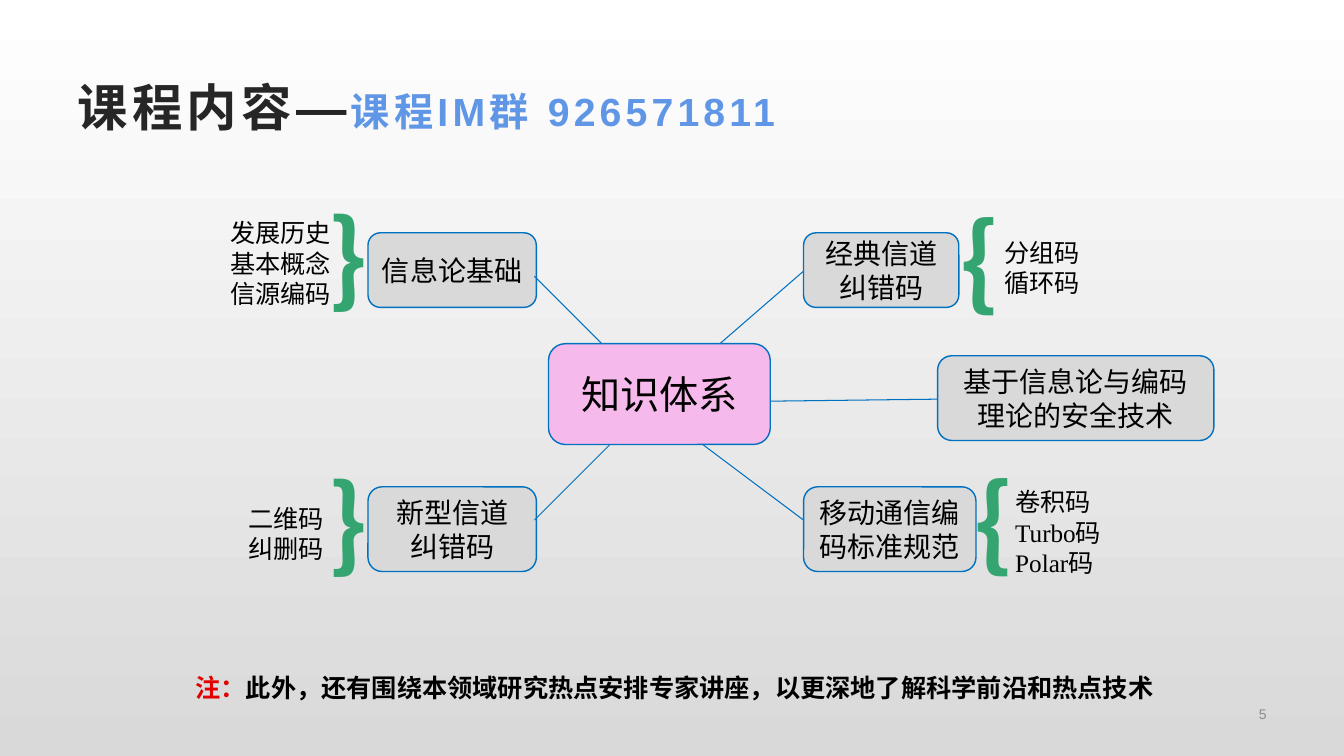
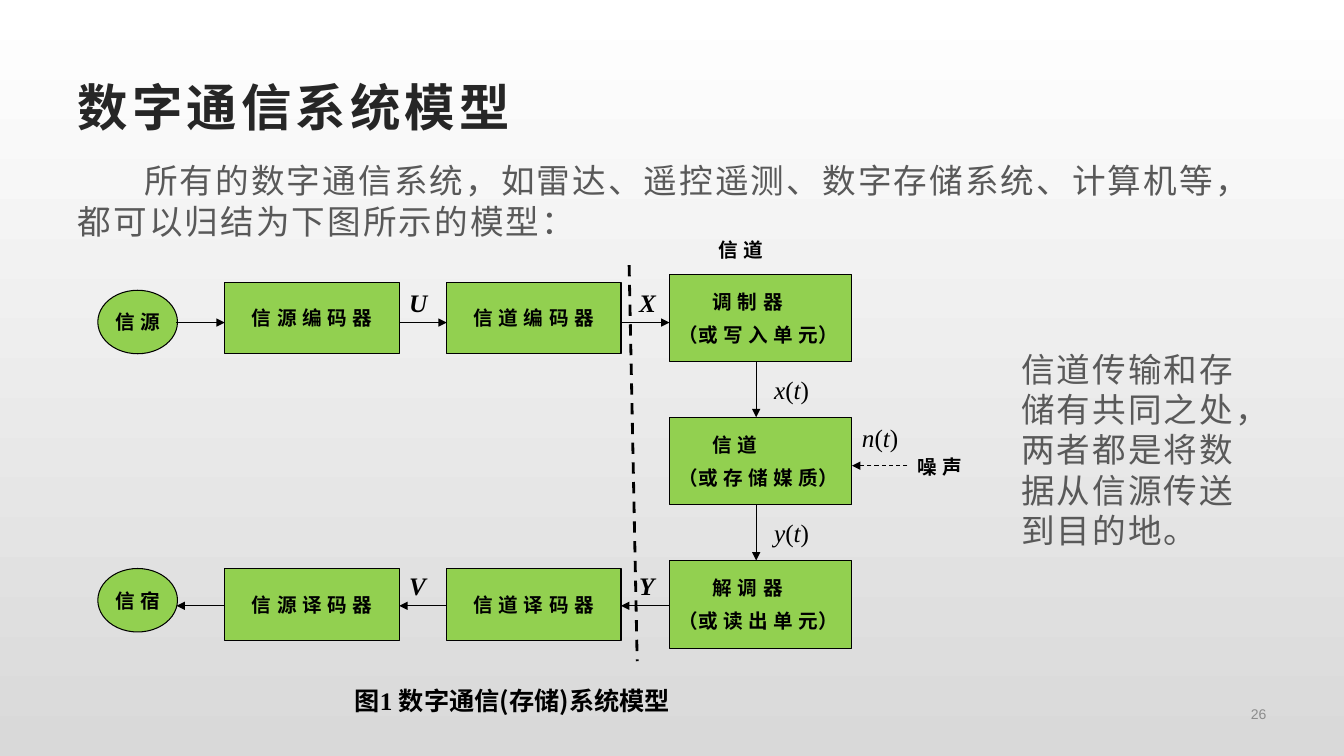
from dataclasses import dataclass, field
from typing import Any, NamedTuple

import lxml.etree
import pptx
import pptx.dml.color
import pptx.enum.dml
import pptx.enum.lang
import pptx.enum.shapes
import pptx.enum.text
import pptx.oxml.ns
import pptx.util

Inches = pptx.util.Inches
Pt = pptx.util.Pt
qn = pptx.oxml.ns.qn
Align = pptx.enum.text.PP_ALIGN
Anchor = pptx.enum.text.MSO_ANCHOR
Preset = pptx.enum.shapes.MSO_SHAPE


@dataclass(frozen=True)
class Theme:
    sans: str = "Arial"
    serif: str = "Times New Roman"
    cjk: str = "Noto Sans CJK SC"
    black: str = "000000"
    title_ink: str = "262626"
    body_ink: str = "595959"
    page_ink: str = "8C8C8C"
    accent: str = "6096E6"
    blue: str = "0070C0"
    pink: str = "F6B9EB"
    gray: str = "D9D9D9"
    white: str = "FFFFFF"
    brace: str = "34A471"
    lime: str = "92D050"
    red: str = "E30000"
    title_size: int = 36
    subtitle_size: int = 28
    body_size: int = 24
    topic_size: int = 20
    note_size: int = 18
    block_size: int = 14
    page_size: int = 10
    brace_size: int = 72


THEME = Theme()


class Box(NamedTuple):
    left: float
    top: float
    width: float
    height: float


@dataclass(frozen=True)
class Span:
    text: str
    size: float = THEME.note_size
    color: str = THEME.black
    face: str = THEME.sans
    bold: bool = False
    italic: bool = False
    spacing: float = 0


@dataclass(frozen=True)
class Para:
    spans: list[Span]
    align: Any = Align.LEFT
    before: float = 0
    indent: float = 0


class Topic(NamedTuple):
    text: str
    box: Box


class Details(NamedTuple):
    lines: list[str]
    box: Box
    align: Any
    brace: Box
    turn: int


@dataclass(frozen=True)
class Link:
    start: tuple[float, float]
    end: tuple[float, float]
    color: str = THEME.black
    width: float = 0.75
    dashed: bool = False
    arrow: bool = True


@dataclass(frozen=True)
class Look:
    fill: str
    line: str
    width: float
    preset: Any = Preset.RECTANGLE
    margins: dict[str, Any] = field(default_factory=dict)


def rgb(color: str) -> pptx.dml.color.RGBColor:
    return pptx.dml.color.RGBColor.from_string(color)


def assign(target: Any, values: dict[str, Any]) -> None:
    for name, value in values.items():
        setattr(target, name, value)


def place(shape: Any, box: Box) -> None:
    assign(shape, {name: Inches(value) for name, value in box._asdict().items()})


def write(frame: Any, paras: list[Para], anchor: Any = Anchor.TOP) -> None:
    assign(frame, {"word_wrap": True, "vertical_anchor": anchor,
                   "auto_size": pptx.enum.text.MSO_AUTO_SIZE.NONE})
    for index, para in enumerate(paras):
        paragraph = frame.paragraphs[0] if index == 0 else frame.add_paragraph()
        properties = paragraph._p.get_or_add_pPr()
        properties.set("marL", "0")
        properties.set("indent", str(Inches(para.indent)))
        lxml.etree.SubElement(properties, qn("a:buNone"))
        assign(paragraph, {"alignment": para.align, "space_before": Pt(para.before)})
        for span in para.spans:
            run = paragraph.add_run()
            run.text = span.text
            assign(run.font, {
                "size": Pt(span.size), "bold": span.bold, "italic": span.italic,
                "name": span.face,
                "language_id": pptx.enum.lang.MSO_LANGUAGE_ID.SIMPLIFIED_CHINESE,
            })
            run.font.color.rgb = rgb(span.color)
            run_properties = run._r.get_or_add_rPr()
            east_asian = THEME.cjk if span.face == THEME.cjk else THEME.sans
            lxml.etree.SubElement(run_properties, qn("a:ea"), typeface=east_asian)
            if span.spacing:
                run_properties.set("spc", str(round(span.spacing * 100)))


def add_text(page: Any, box: Box, paras: list[Para], anchor: Any = Anchor.TOP,
             turn: int = 0) -> None:
    shape = page.shapes.add_textbox(*map(Inches, box))
    shape.rotation = turn
    write(shape.text_frame, paras, anchor)


def add_block(page: Any, box: Box, look: Look, paras: list[Para]) -> None:
    shape = page.shapes.add_shape(look.preset, *map(Inches, box))
    shape.shadow.inherit = False
    shape.fill.solid()
    shape.fill.fore_color.rgb = rgb(look.fill)
    shape.line.color.rgb = rgb(look.line)
    shape.line.width = Pt(look.width)
    assign(shape.text_frame, look.margins)
    write(shape.text_frame, paras, Anchor.MIDDLE)


def add_link(page: Any, link: Link) -> None:
    connector = page.shapes.add_connector(
        pptx.enum.shapes.MSO_CONNECTOR.STRAIGHT,
        *map(Inches, (*link.start, *link.end)))
    connector.line.color.rgb = rgb(link.color)
    connector.line.width = Pt(link.width)
    if link.dashed:
        connector.line.dash_style = pptx.enum.dml.MSO_LINE.DASH
    properties = connector._element.spPr
    if link.arrow:
        lxml.etree.SubElement(properties.find(qn("a:ln")), qn("a:tailEnd"), type="triangle")
    lxml.etree.SubElement(properties, qn("a:effectLst"))


def set_background(deck: Any) -> None:
    fill = deck.slide_master.background.fill
    fill.gradient()
    fill.gradient_angle = 270
    for stop, position, color in zip(fill.gradient_stops, (0, 1), (THEME.white, THEME.gray)):
        stop.position = position
        stop.color.rgb = rgb(color)


def title_span(text: str, size: int = THEME.title_size, color: str = THEME.title_ink) -> Span:
    return Span(text, size, color, bold=True, spacing=3)


def body_span(text: str) -> Span:
    return Span(text, THEME.body_size, THEME.body_ink, spacing=1.5)


def block_span(text: str) -> Span:
    return Span(text, THEME.block_size, bold=True)


def add_page(deck: Any, layout: int, title: list[Span], number: int) -> Any:
    page = deck.slides.add_slide(deck.slide_layouts[layout])
    place(page.shapes.title, Box(0.67, 0.67, 12, 0.77))
    write(page.shapes.title.text_frame, [Para(title)], Anchor.MIDDLE)
    page_number = Span(str(number), THEME.page_size, THEME.page_ink)
    add_text(page, Box(9.71, 6.91, 2.95, 0.35), [Para([page_number], Align.RIGHT)],
             Anchor.MIDDLE)
    return page


def build_contents(deck: Any) -> None:
    page = add_page(deck, 5, [
        title_span("课程内容—"),
        title_span("课程IM群 926571811", THEME.subtitle_size, THEME.accent),
    ], 5)
    hub_look = Look(THEME.pink, THEME.blue, 1, Preset.ROUNDED_RECTANGLE)
    topic_look = Look(THEME.gray, THEME.blue, 1, Preset.ROUNDED_RECTANGLE)
    add_block(page, Box(5.44, 3.41, 2.2, 1), hub_look,
              [Para([Span("知识体系", THEME.subtitle_size)], Align.CENTER)])
    topics = [
        Topic("信息论基础", Box(3.65, 2.31, 1.67, 0.74)),
        Topic("经典信道纠错码", Box(7.97, 2.31, 1.54, 0.74)),
        Topic("新型信道纠错码", Box(3.65, 4.83, 1.67, 0.84)),
        Topic("移动通信编码标准规范", Box(7.97, 4.83, 1.71, 0.84)),
        Topic("基于信息论与编码理论的安全技术", Box(9.3, 3.53, 2.74, 0.84)),
    ]
    for topic in topics:
        add_block(page, topic.box, topic_look,
                  [Para([Span(topic.text, THEME.topic_size)], Align.CENTER)])
    spokes = [
        ((5.3, 2.74), (5.97, 3.41)),
        ((7.97, 2.69), (7.14, 3.41)),
        ((5.3, 5.16), (6.05, 4.41)),
        ((7.97, 5.16), (6.97, 4.41)),
        ((9.3, 3.96), (7.64, 3.98)),
    ]
    for start, end in spokes:
        add_link(page, Link(start, end, THEME.blue, arrow=False))
    details = [
        Details(["分组码", "循环码"], Box(9.86, 2.3, 1.52, 0.71), Align.LEFT,
                Box(9.43, 1.91, 0.73, 1.31), 0),
        Details(["卷积码", "Turbo码", "Polar码"], Box(9.97, 4.78, 1.52, 1.01), Align.LEFT,
                Box(9.57, 4.5, 0.73, 1.31), 0),
        Details(["发展历史", "基本概念", "信源编码"], Box(1.97, 2.11, 1.41, 1.01), Align.RIGHT,
                Box(3.01, 2.04, 0.73, 1.31), 180),
        Details(["二维码", "纠删码"], Box(1.9, 4.94, 1.41, 0.71), Align.RIGHT,
                Box(3.01, 4.66, 0.73, 1.31), 180),
    ]
    brace = Span("{", THEME.brace_size, THEME.brace, THEME.cjk, bold=True)
    for detail in details:
        add_text(page, detail.box, [Para([Span(line, face=THEME.serif)], detail.align)
                                    for line in detail.lines])
        add_text(page, detail.brace, [Para([brace])], turn=detail.turn)
    add_text(page, Box(1.84, 6.62, 9.76, 0.4), [Para([
        Span("注：", color=THEME.red, face=THEME.serif, bold=True),
        Span("此外，还有围绕本领域研究热点安排专家讲座，以更深地了解科学前沿和热点技术",
             face=THEME.serif, bold=True),
    ])])


def build_model(deck: Any) -> None:
    page = add_page(deck, 1, [title_span("数字通信系统模型")], 26)
    intro = page.placeholders[1]
    place(intro, Box(0.67, 1.54, 12.13, 0.91))
    write(intro.text_frame, [Para([body_span(
        "所有的数字通信系统，如雷达、遥控遥测、数字存储系统、计算机等，"
        "都可以归结为下图所示的模型：")], indent=0.66)])
    add_text(page, Box(10.03, 3.41, 2.4, 2.12), [Para([body_span(
        "信道传输和存储有共同之处，两者都是将数据从信源传送到目的地。")])])

    add_link(page, Link((6.24, 2.63), (6.32, 6.56), width=2, dashed=True, arrow=False))
    flush = {"margin_left": 0, "margin_right": 0}
    coder_look = Look(THEME.lime, THEME.black, 0.75)
    end_look = Look(THEME.lime, THEME.black, 0.75, Preset.OVAL, flush)
    unit_look = Look(THEME.lime, THEME.black, 0.75,
                     margins={"margin_left": Inches(0.09), "margin_right": 0})
    rows = [
        ("信 源", 2.88, ["信 源 编 码 器", "信 道 编 码 器"], 2.8),
        ("信 宿", 5.64, ["信 源 译 码 器", "信 道 译 码 器"], 5.64),
    ]
    for terminal, terminal_top, coders, coder_top in rows:
        add_block(page, Box(0.97, terminal_top, 0.79, 0.63), end_look,
                  [Para([block_span(terminal)], Align.CENTER)])
        for column, coder in enumerate(coders):
            add_block(page, Box(2.23 + 2.2 * column, coder_top, 1.73, 0.71), coder_look,
                      [Para([block_span(coder)], Align.CENTER)])
    units = [("调 制 器", "（或 写 入 单 元）"), ("信 道", "（或 存 储 媒 质）"),
             ("解 调 器", "（或 读 出 单 元）")]
    for index, (name, alternative) in enumerate(units):
        add_block(page, Box(6.64, 2.72 + 1.42 * index, 1.81, 0.87), unit_look, [
            Para([block_span(name)], indent=0.34),
            Para([block_span(alternative)], before=7),
        ])

    for left, right in ((1.75, 2.23), (3.96, 4.43), (6.16, 6.64)):
        add_link(page, Link((left, 3.2), (right, 3.2)))
        add_link(page, Link((right, 6.01), (left, 6.01)))
    for top in (3.59, 5.01):
        add_link(page, Link((7.5, top), (7.5, top + 0.55)))
    add_link(page, Link((9, 4.62), (8.45, 4.62), dashed=True))

    for symbol, left, top in (("U", 3.96, 2.8), ("V", 3.96, 5.61),
                              ("X", 6.24, 2.8), ("Y", 6.24, 5.61)):
        add_text(page, Box(left, top, 0.39, 0.4),
                 [Para([Span(symbol, face=THEME.serif, bold=True, italic=True)])])
    for signal, left, top in (("x", 7.58, 3.66), ("y", 7.58, 5.08), ("n", 8.45, 4.14)):
        add_text(page, Box(left, top, 0.79, 0.4), [Para([
            Span(part, face=THEME.serif, italic=part.isalpha())
            for part in (signal, "(", "t", ")")])])
    for label, left, top in (("噪 声", 9, 4.46), ("信 道", 7.03, 2.31)):
        add_text(page, Box(left, top, 0.75, 0.33), [Para([block_span(label)])])
    add_text(page, Box(3.42, 6.75, 3.96, 0.4), [Para([
        Span("图", bold=True), Span("1 ", face=THEME.serif, bold=True),
        Span("数字通信(存储)系统模型", face=THEME.cjk, bold=True),
    ])])


def main() -> None:
    deck = pptx.Presentation()
    assign(deck, {"slide_width": Inches(13.33), "slide_height": Inches(7.5)})
    set_background(deck)
    build_contents(deck)
    build_model(deck)
    deck.save("out.pptx")


if __name__ == "__main__":
    main()
